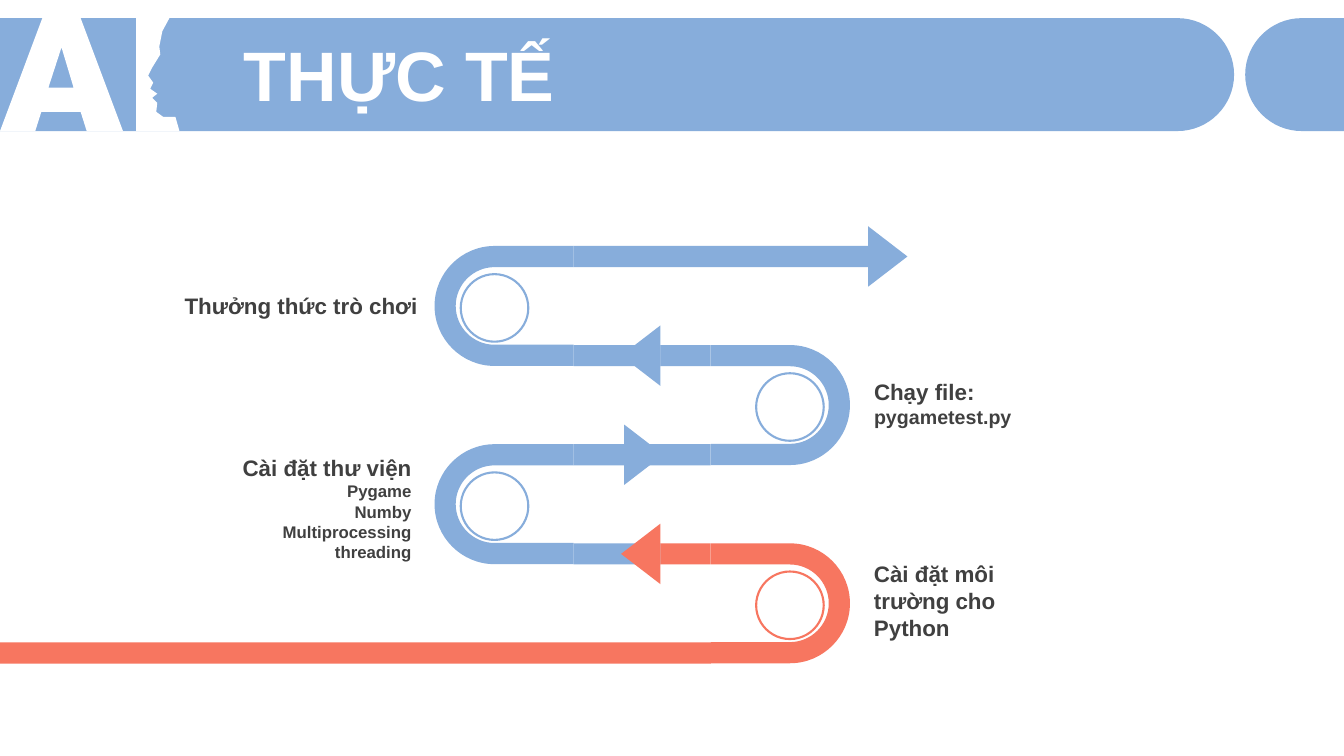
from lxml import etree
from pptx import Presentation
from pptx.dml.color import RGBColor
from pptx.enum import shapes, text
from pptx.oxml import ns
from pptx.util import Inches, Pt

BLUE, CORAL, WHITE, GREY = "87ADDB", "F77660", "FFFFFF", "404040"
FONT = "Arial"
BAND = 0.21  # thickness of the winding road
BEND_WIDTH, BEND_HEIGHT = 1.38, 1.19
PITCH = (5.39 - 2.44) / 3  # distance from one lane to the next
ROUND = 0.55  # handle length of a quarter circle, in radii


def color(hex_code):
    return RGBColor.from_string(hex_code)


def paint(shape, fill=None, line=None):
    shape.shadow.inherit = False
    if fill:
        shape.fill.solid()
        shape.fill.fore_color.rgb = color(fill)
    else:
        shape.fill.background()
    if line:
        shape.line.color.rgb = color(line)
        shape.line.width = Pt(1.5)
    else:
        shape.line.fill.background()


def add_preset(slide, kind, left, top, width, height, fill=None, line=None):
    shape = slide.shapes.add_shape(
        kind, Inches(left), Inches(top), Inches(width), Inches(height))
    paint(shape, fill, line)
    return shape


def add_outline(slide, fill, *contours):
    """Contours hold steps: [point] is a line, [handle, handle, point] a curve."""
    builder = None
    for steps in contours:
        points = [(Inches(x), Inches(y)) for step in steps for x, y in step]
        if builder is None:
            builder = slide.shapes.build_freeform(*points[0], scale=1.0)
        else:
            builder.move_to(*points[0])
        builder.add_line_segments(points[1:], close=True)
    shape = builder.convert_to_shape()
    paint(shape, fill)

    # Join the three segments of each curve into one Bezier segment
    segments = iter(list(shape.element.iter(ns.qn("a:lnTo"))))
    for steps in contours:
        for step in steps[1:]:
            parts = [next(segments) for _ in step]
            if len(parts) == 3:
                curve = etree.Element(ns.qn("a:cubicBezTo"))
                parts[0].addprevious(curve)
                for part in parts:
                    curve.append(part[0])
                    part.getparent().remove(part)


def lines(*points):
    return [[point] for point in points]


def half_circle(x, y, radius, side, turn=1):
    """Steps from top to bottom (turn 1) or back up (turn -1), bulging to side."""
    across, down = side * radius, turn * radius
    return [[(x, y - down)],
            [(x + ROUND * across, y - down), (x + across, y - ROUND * down),
             (x + across, y)],
            [(x + across, y + ROUND * down), (x + ROUND * across, y + down),
             (x, y + down)]]


def add_text(slide, left, top, width, height, paragraphs, fill=GREY, align=None):
    """Each paragraph is a list of (wording, size) runs."""
    box = slide.shapes.add_textbox(
        Inches(left), Inches(top), Inches(width), Inches(height))
    frame = box.text_frame
    frame.word_wrap = True
    frame.vertical_anchor = text.MSO_ANCHOR.MIDDLE
    for i, runs in enumerate(paragraphs):
        paragraph = frame.add_paragraph() if i else frame.paragraphs[0]
        paragraph.alignment = align
        paragraph.font.name = FONT
        paragraph.font.bold = True
        paragraph.font.color.rgb = color(fill)
        paragraph.font.size = Pt(runs[0][1])
        for wording, size in runs:
            run = paragraph.add_run()
            run.text = wording
            if size != runs[0][1]:
                run.font.size = Pt(size)
    return frame


def add_header(slide, left, top, width, height):
    radius, right, bottom = height / 2, left + width, top + height
    middle = top + radius

    # Banner and the tab at the right edge
    for edge, cap, side in ((left, left + 11.68, 1), (right, left + 12.91, -1)):
        add_outline(slide, BLUE, [[(edge, top)],
                                  *half_circle(cap, middle, radius, side),
                                  [(edge, bottom)]])

    # Letter A, and a letter I cut by a face profile
    letter_a = [(0.42, 0), (0.8, 0), (1.22, 1.12), (0.86, 1.12), (0.8, 0.93),
                (0.41, 0.93), (0.35, 1.12), (0, 1.12)]
    counter = [(0.61, 0.29), (0.48, 0.69), (0.73, 0.69)]
    profile = [(1.35, 0), (1.68, 0), (1.61, 0.13), (1.58, 0.28), (1.59, 0.36),
               (1.51, 0.49), (1.47, 0.57), (1.52, 0.64), (1.49, 0.7), (1.56, 0.75),
               (1.51, 0.79), (1.56, 0.84), (1.55, 0.93), (1.62, 0.98), (1.74, 0.98),
               (1.78, 1.12), (1.35, 1.12)]
    add_outline(slide, WHITE, *[lines(*[(left + x, top + y) for x, y in points])
                                for points in (letter_a, counter, profile)])

    # Title
    title = add_text(slide, left + 2.32, top + 0.23, 10.69, 0.79,
                     [[("THỰC TẾ", 50)]], WHITE)
    title.paragraphs[0].line_spacing = 0.8
    title.paragraphs[0].space_before = Pt(10)


def add_stage(slide, left, top, side, entry_x, head_x, fill):
    """One U-turn of the road; side is where it bulges: 1 right, -1 left."""
    radius = BEND_HEIGHT / 2
    middle, bottom = top + radius, top + BEND_HEIGHT
    if side > 0:
        mouth, center = left, left + BEND_WIDTH - radius
    else:
        mouth, center = left + BEND_WIDTH, left + radius

    # Lanes into and out of the bend
    for lane_top, far_end in ((top + PITCH, entry_x), (top, head_x)):
        add_preset(slide, shapes.MSO_SHAPE.RECTANGLE, min(mouth, far_end), lane_top,
                   abs(far_end - mouth), BAND, fill)

    # Bend
    add_outline(slide, fill, [[(mouth, top)],
                              *half_circle(center, middle, radius, side),
                              *lines((mouth, bottom), (mouth, bottom - BAND)),
                              *half_circle(center, middle, radius - BAND, side, -1),
                              [(mouth, top + BAND)]])

    # Arrowhead, turned about its centre
    head_width, head_length = 0.6, 0.39
    head = add_preset(slide, shapes.MSO_SHAPE.ISOSCELES_TRIANGLE,
                      head_x - side * head_length / 2 - head_width / 2,
                      top + (BAND - head_length) / 2, head_width, head_length, fill)
    head.rotation = 270 if side > 0 else 90

    # Ring inside the bend
    ring = 0.67
    add_preset(slide, shapes.MSO_SHAPE.OVAL, center - ring / 2, top + 0.28,
               ring, ring, line=fill)


def add_road(slide, left, top):
    # Side of the bulge, start of the entry lane, base of the arrowhead, colour
    stages = [(-1, 2.24, 4.3, BLUE), (1, 1.88, 2.24, BLUE),
              (-1, 2.24, 1.88, BLUE), (1, -left, 2.24, CORAL)]
    for i, (side, entry, head, fill) in enumerate(stages):
        bend_left = left if side < 0 else left + 2.74
        add_stage(slide, bend_left, top + i * PITCH, side,
                  left + entry, left + head, fill)


def add_labels(slide):
    right = text.PP_ALIGN.RIGHT
    libraries = ["Pygame", "Numby", "Multiprocessing", "threading"]
    add_text(slide, 1.62, 2.85, 2.62, 0.37, [[("Thưởng thức trò chơi", 16)]], align=right)
    add_text(slide, 8.57, 3.7, 2.28, 0.61, [[("Chạy file: ", 16), ("pygametest.py", 14)]])
    add_text(slide, 1.56, 4.45, 2.62, 1.18,
             [[("Cài đặt thư viện", 16)], *[[(name, 12)] for name in libraries]],
             align=right)
    add_text(slide, 8.57, 5.5, 2.04, 0.91, [[("Cài đặt môi trường cho Python", 16)]])


def main():
    deck = Presentation()
    deck.slide_width, deck.slide_height = Inches(13.33), Inches(7.5)
    slide = deck.slides.add_slide(deck.slide_layouts[6])
    add_header(slide, 0, 0.18, 13.33, 1.12)
    add_road(slide, 4.31, 2.44)
    add_labels(slide)
    deck.save("out.pptx")


if __name__ == "__main__":
    main()
